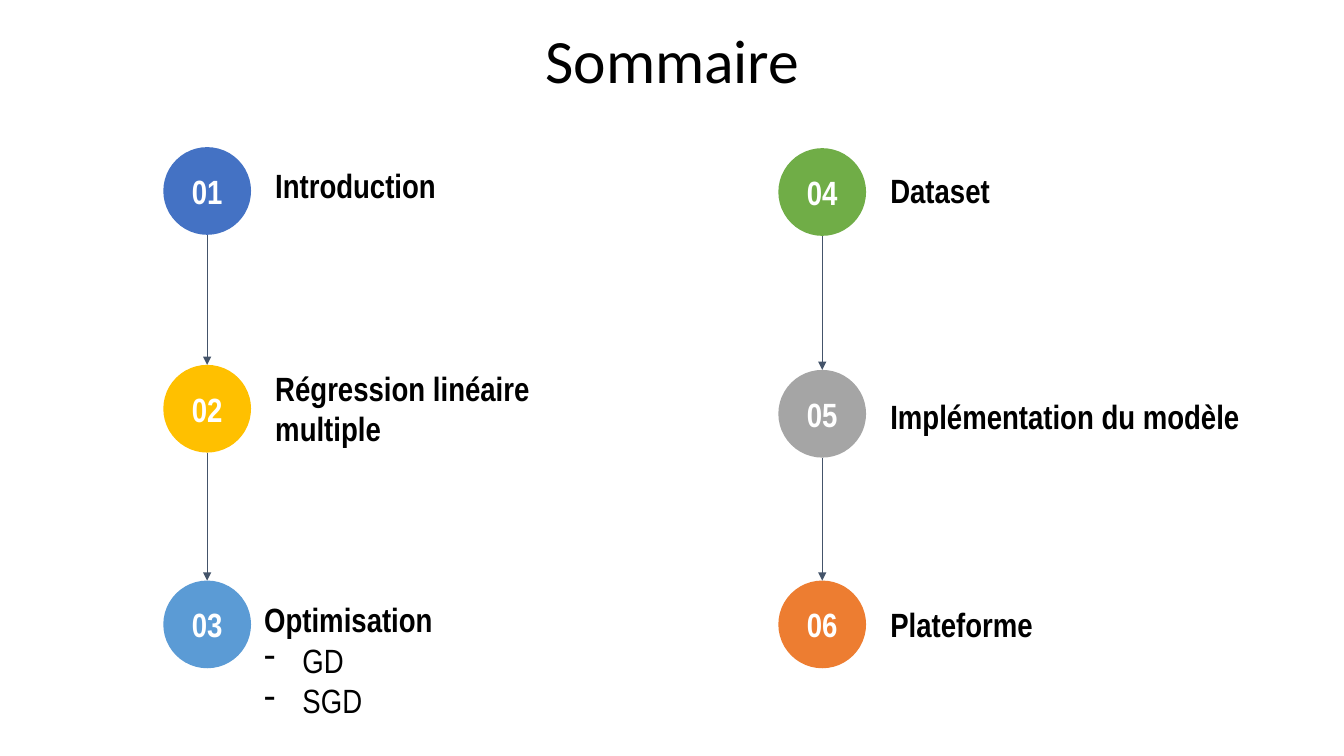
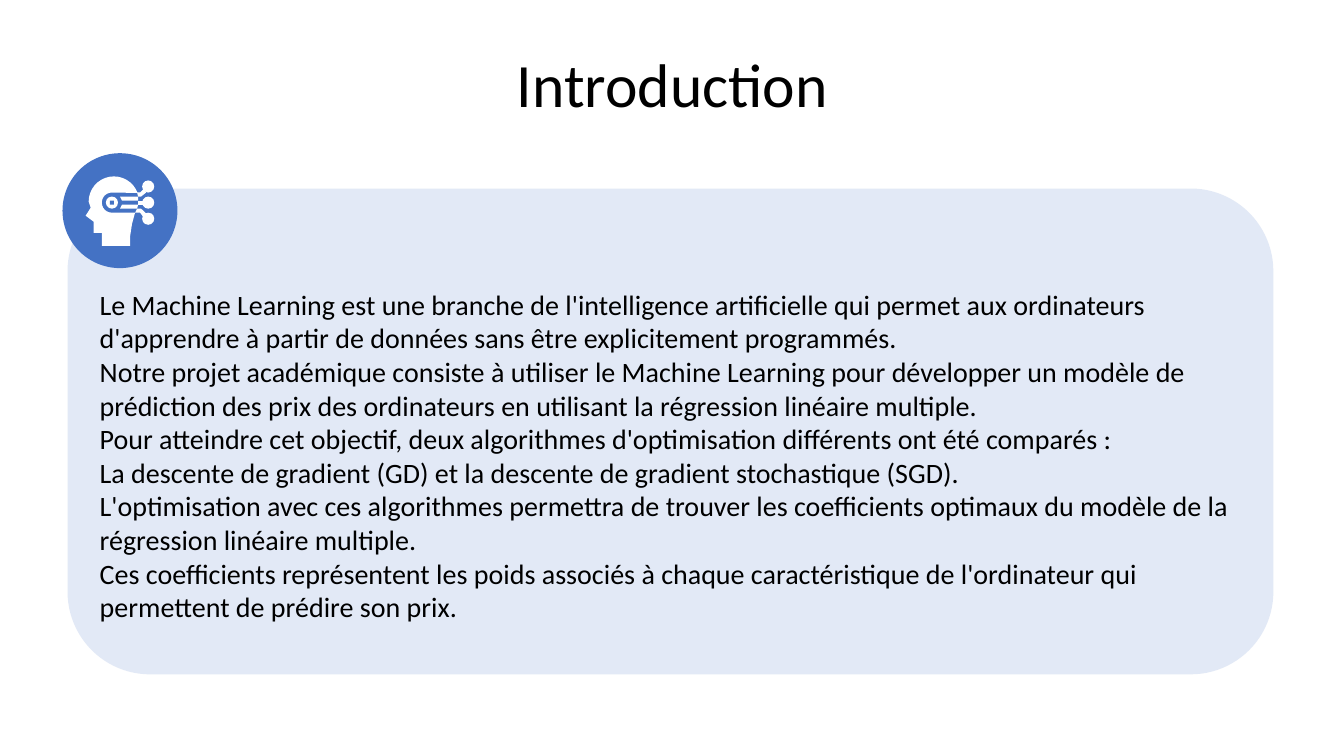
from math import cos, radians, sin

from lxml.etree import SubElement
from pptx import Presentation
from pptx.dml.color import RGBColor
from pptx.enum.shapes import MSO_CONNECTOR as CONNECTOR, MSO_SHAPE as SHAPE
from pptx.enum.text import MSO_ANCHOR as ANCHOR, MSO_AUTO_SIZE as AUTO_SIZE, PP_ALIGN as ALIGN
from pptx.oxml.ns import qn
from pptx.util import Inches, Pt

COLORS = {
    "text": "000000", "white": "FFFFFF", "line": "44546A", "panel": "8FAADC",
    "blue": "4472C4", "gold": "FFC000", "sky": "5B9BD5",
    "green": "70AD47", "gray": "A5A5A5", "orange": "ED7D31",
}
TITLE_FONT, LABEL_FONT = "Calibri", "Arial Narrow"

presentation = Presentation()
presentation.slide_width, presentation.slide_height = Inches(13.33), Inches(7.5)


def write(shape, lines, font, size, color="text", bold=False, align=None, inset=0.13):
    """Fill a shape with paragraphs in one style."""
    frame = shape.text_frame
    frame.text = "\n".join(lines)
    frame.word_wrap, frame.auto_size = True, AUTO_SIZE.NONE
    frame.vertical_anchor = ANCHOR.MIDDLE
    frame.margin_left = frame.margin_right = Inches(inset)
    frame.margin_top = frame.margin_bottom = Inches(inset)
    for paragraph in frame.paragraphs:
        paragraph.alignment = align
        for run in paragraph.runs:
            run.font.name, run.font.size, run.font.bold = font, Pt(size), bold
            run.font.color.rgb = RGBColor.from_string(COLORS[color])


def paint(shape, color):
    """Give a shape a flat fill without outline or shadow."""
    shape.shadow.inherit = False
    shape.fill.solid()
    shape.fill.fore_color.rgb = RGBColor.from_string(COLORS[color])
    shape.line.fill.background()
    return shape


# Both slides with their titles
slides = []
for title_text, title_top in [("Sommaire", 0.36), ("Introduction", 0.6)]:
    slide = presentation.slides.add_slide(presentation.slide_layouts[5])
    title = slide.shapes.title
    title.left, title.top = Inches(0.67), Inches(title_top)
    title.width, title.height = Inches(12), Inches(0.54)
    write(title, [title_text], TITLE_FONT, 44, align=ALIGN.CENTER)
    title.text_frame.paragraphs[0].line_spacing = 0.9
    slides.append(slide)
summary, introduction = slides

# Summary: two columns of numbered topics
# Topic: colour, circle top, lines, label box (offset from circle, top, width, height)
DIAMETER = 0.87
columns = [
    (1.62, [
        ("blue", 1.46, ["Introduction"], (0.98, 1.6, 2.89, 0.48)),
        ("gold", 3.62, ["Régression linéaire multiple"], (0.98, 3.81, 2.89, 0.48)),
        ("sky", 5.76, ["Optimisation", "GD", "SGD"], (0.87, 5.95, 2.89, 1.19)),
    ]),
    (7.72, [
        ("green", 1.47, ["Dataset"], (0.98, 1.65, 2.89, 0.48)),
        ("gray", 3.67, ["Implémentation du modèle"], (0.98, 3.86, 4.05, 0.54)),
        ("orange", 5.76, ["Plateforme"], (0.98, 5.95, 2.89, 0.48)),
    ]),
]
number = 0
for left, topics in columns:
    for color, top, lines, (offset, label_top, width, height) in topics:
        number += 1
        circle = summary.shapes.add_shape(
            SHAPE.OVAL, Inches(left), Inches(top), Inches(DIAMETER), Inches(DIAMETER))
        paint(circle, color)
        write(circle, [f"{number:02}"], LABEL_FONT, 24, "white", True, ALIGN.CENTER)

        label = summary.shapes.add_textbox(
            Inches(left + offset), Inches(label_top), Inches(width), Inches(height))
        write(label, lines, LABEL_FONT, 24, bold=True)
        for paragraph in label.text_frame.paragraphs[1:]:
            paragraph.runs[0].font.bold = False
            properties = paragraph._p.get_or_add_pPr()
            properties.set("marL", str(Inches(0.38)))
            properties.set("indent", str(-Inches(0.38)))
            SubElement(properties, qn("a:buChar"), char="-")

    # Arrows from each circle to the next
    center = Inches(left + DIAMETER / 2)
    for upper, lower in zip(topics, topics[1:]):
        arrow = summary.shapes.add_connector(
            CONNECTOR.STRAIGHT, center, Inches(upper[1] + DIAMETER), center, Inches(lower[1]))
        arrow.line.color.rgb = RGBColor.from_string(COLORS["line"])
        arrow.line.width = Pt(0.75)
        SubElement(arrow.line._get_or_add_ln(), qn("a:tailEnd"), type="triangle")
        SubElement(arrow._element.spPr, qn("a:effectLst"))

# Introduction: translucent panel and badge
panel = introduction.shapes.add_shape(
    SHAPE.ROUNDED_RECTANGLE, Inches(0.67), Inches(1.87), Inches(11.96), Inches(4.82))
panel.adjustments[0] = 0.17
paint(panel, "panel")
panel_color = panel._element.spPr.find(qn("a:solidFill")).find(qn("a:srgbClr"))
SubElement(panel_color, qn("a:alpha"), val="25000")
badge = introduction.shapes.add_shape(
    SHAPE.OVAL, Inches(0.62), Inches(1.52), Inches(1.14), Inches(1.14))
paint(badge, "blue")

# Badge icon: head outline with a notch for the eye, and links to the nodes
icon = introduction.shapes.add_group_shape()
skull = [(1.13 + 0.25 * cos(radians(a)), 2 + 0.25 * sin(radians(a)))
         for a in range(-20, -181, -10)]
face = [(0.9, 2.06), (0.85, 2.14), (0.93, 2.2), (0.93, 2.31), (1.01, 2.31), (1.01, 2.44),
        (1.29, 2.44), (1.29, 2.35), (1.31, 2.22), (1.34, 2.11)]
notch = [(1.11 + 0.1 * cos(radians(a)), 2.01 + 0.1 * sin(radians(a)))
         for a in range(90, 271, 15)]
outlines = [
    skull + face + notch,
    [(1.19, 1.95), (1.37, 1.95), (1.37, 1.99), (1.21, 1.99)],
    [(1.21, 2.03), (1.37, 2.03), (1.36, 2.07), (1.19, 2.07)],
    [(1.36, 1.91), (1.39, 1.91), (1.42, 1.88), (1.45, 1.91), (1.4, 1.95), (1.37, 1.95)],
    [(1.37, 1.99), (1.43, 1.99), (1.43, 2.03), (1.37, 2.03)],
    [(1.36, 2.07), (1.4, 2.07), (1.45, 2.12), (1.42, 2.15), (1.39, 2.11), (1.34, 2.11)],
]
for outline in outlines:
    points = [(Inches(x), Inches(y)) for x, y in outline]
    builder = icon.shapes.build_freeform(*points[0])
    builder.add_line_segments(points[1:], close=True)
    paint(builder.convert_to_shape(), "white")

# Eye, three nodes and the square pupil
for kind, color, x, y, size in [
    (SHAPE.OVAL, "white", 1.05, 1.95, 0.12),
    (SHAPE.OVAL, "white", 1.41, 1.79, 0.12),
    (SHAPE.OVAL, "white", 1.41, 1.95, 0.12),
    (SHAPE.OVAL, "white", 1.41, 2.11, 0.12),
    (SHAPE.RECTANGLE, "blue", 1.09, 1.99, 0.04),
]:
    paint(icon.shapes.add_shape(kind, Inches(x), Inches(y), Inches(size), Inches(size)), color)

# Introduction text
body = introduction.shapes.add_textbox(Inches(0.89), Inches(2.8), Inches(11.52), Inches(3.47))
write(body, [
    "Le Machine Learning est une branche de l'intelligence artificielle qui permet aux "
    "ordinateurs d'apprendre à partir de données sans être explicitement programmés.",
    "Notre projet académique consiste à utiliser le Machine Learning pour développer un modèle "
    "de prédiction des prix des ordinateurs en utilisant la régression linéaire multiple.",
    "Pour atteindre cet objectif, deux algorithmes d'optimisation différents ont été comparés :",
    "La descente de gradient (GD) et la descente de gradient stochastique (SGD).",
    "L'optimisation avec ces algorithmes permettra de trouver les coefficients optimaux du "
    "modèle de la régression linéaire multiple.",
    "Ces coefficients représentent les poids associés à chaque caractéristique de l'ordinateur "
    "qui permettent de prédire son prix.",
], TITLE_FONT, 20, inset=0.1)
body.text_frame.vertical_anchor = ANCHOR.TOP
body.text_frame.margin_top = body.text_frame.margin_bottom = Inches(0.05)

presentation.save("out.pptx")
